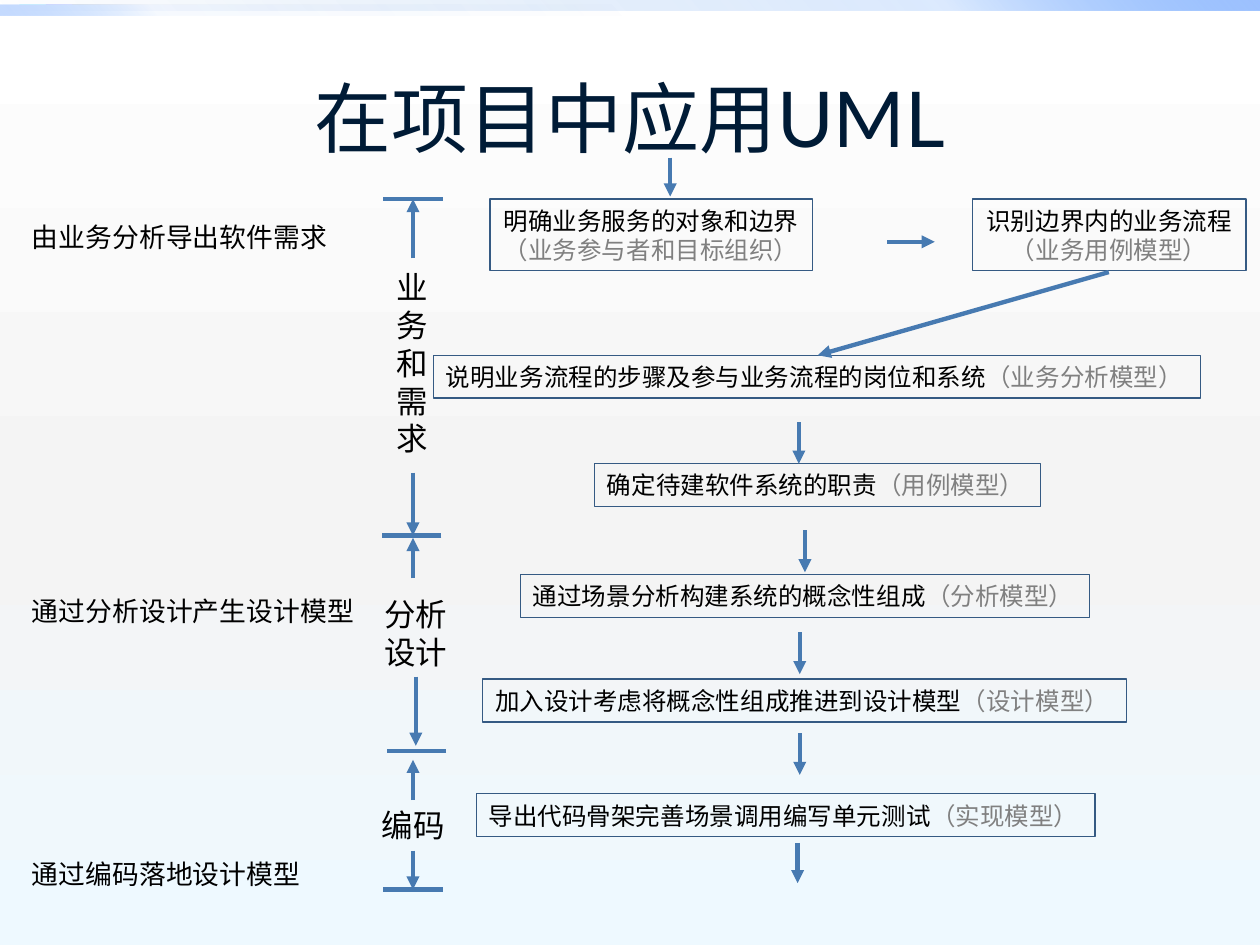
from dataclasses import dataclass

from lxml.etree import SubElement
from pptx import Presentation
from pptx.dml.color import RGBColor
from pptx.enum.shapes import MSO_CONNECTOR as Connector, MSO_SHAPE as Shape
from pptx.enum.text import MSO_ANCHOR as Anchor, MSO_AUTO_SIZE as AutoSize, PP_ALIGN as Align
from pptx.oxml import parse_xml
from pptx.oxml.ns import nsdecls, qn
from pptx.util import Pt


@dataclass(frozen=True)
class TextStyle:
    """Font, East Asian font, size and colour of a run."""
    latin: str
    east_asian: str
    size: float
    color: str


@dataclass(frozen=True)
class Theme:
    """Colours and text styles of the slide."""
    title = TextStyle("Lato", "Lato", 44, "001B36")
    note = TextStyle("Noto Sans CJK SC", "Noto Sans CJK SC", 15.3, "000000")
    phase = TextStyle("Arial", "Lato", 18, "000000")
    step = TextStyle("Cambria", "Lato", 14, "000000")
    model = TextStyle("Cambria", "Lato", 14, "808080")
    arrow = "477AB1"
    border = "355A83"
    backdrop = [(0, "FFFFFF", 100), (55, "F4F4F4", 100), (100, "EEF9FF", 100)]
    top_band = [(0, "0058B7", 0), (75, "4F95FF", 20), (100, "9EC2FF", 100)]
    left_band = [(0, "0058B7", 0), (75, "4F95FF", 5), (100, "9EC2FF", 60)]


THEME = Theme()
ROW_HEIGHT = 24.5
PAIR_HEIGHT = 41

NOTES = [
    ("由业务分析导出软件需求", 135.4),
    ("通过分析设计产生设计模型", 349.2),
    ("通过编码落地设计模型", 499.4),
]
PAIRED_STEPS = [
    ("明确业务服务的对象和边界", "（业务参与者和目标组织）", 280, 184.3),
    ("识别边界内的业务流程", "（业务用例模型）", 555.8, 156.2),
]
STEPS = [
    ("说明业务流程的步骤及参与业务流程的岗位和系统", "（业务分析模型）", 247.7, 203, 438.5),
    ("确定待建软件系统的职责", "（用例模型）", 339.8, 265, 254.9),
    ("通过场景分析构建系统的概念性组成", "（分析模型）", 297.4, 328.3, 325.4),
    ("加入设计考虑将概念性组成推进到设计模型", "（设计模型）", 275.8, 388.1, 367.9),
    ("导出代码骨架完善场景调用编写单元测试", "（实现模型）", 272.2, 453.6, 353.5),
]
PHASES = [
    (["业", "务", "和", "需", "求"], 219.6, 149, 32.4, 116.6),
    (["分析", "设计"], 212.4, 336.2, 51, 51),
    (["编码"], 211, 457.2, 51, 28.8),
]
PHASE_BARS = [(218.9, 113.8), (218.2, 306), (221, 429.1), (218.9, 508.3)]
VERTICAL_ARROWS = [
    (236, 147.6, 113.8), (236, 270, 306), (236, 330.5, 307.4),
    (237.6, 386.6, 426.2), (236, 457.2, 434.2), (236, 486, 508.3),
    (383, 90, 112.3), (456.5, 241.2, 265), (460, 303, 327),
    (457, 361.4, 385.2), (457, 419, 442.8), (455.8, 481.7, 504.7),
]


def paint_gradient(element, stops, angle):
    """Replace the first solid fill of an element with a linear gradient."""
    stop_xml = "".join(
        f'<a:gs pos="{position * 1000}"><a:srgbClr val="{color}">'
        f'<a:alpha val="{opacity * 1000}"/></a:srgbClr></a:gs>'
        for position, color, opacity in stops
    )
    gradient = parse_xml(
        f'<a:gradFill {nsdecls("a")} rotWithShape="1"><a:gsLst>{stop_xml}</a:gsLst>'
        f'<a:lin ang="{angle * 60000}" scaled="0"/></a:gradFill>'
    )
    solid = next(element.iter(qn("a:solidFill")))
    solid.getparent().replace(solid, gradient)


def add_run(paragraph, text, style):
    """Append a formatted run to a paragraph."""
    run = paragraph.add_run()
    run.text = text
    run.font.size = Pt(style.size)
    run.font.color.rgb = RGBColor.from_string(style.color)
    run.font.name = style.latin
    SubElement(run.font._element, qn("a:ea")).set("typeface", style.east_asian)


def fill_text(frame, lines, align=Align.LEFT):
    """Write lines, each a list of (text, style) runs, into a text frame."""
    frame.word_wrap = False
    frame.auto_size = AutoSize.SHAPE_TO_FIT_TEXT
    frame.vertical_anchor = Anchor.MIDDLE
    for index, runs in enumerate(lines):
        paragraph = frame.add_paragraph() if index else frame.paragraphs[0]
        paragraph.alignment = align
        for text, style in runs:
            add_run(paragraph, text, style)


def add_title(slide, text):
    """Place and format the title placeholder."""
    title = slide.shapes.title
    title.left, title.top, title.width, title.height = Pt(36), Pt(21.6), Pt(648), Pt(90)
    title.text_frame.vertical_anchor = Anchor.MIDDLE
    paragraph = title.text_frame.paragraphs[0]
    paragraph.alignment = Align.CENTER
    add_run(paragraph, text, THEME.title)


def add_rectangle(slide, left, top, width, height):
    """Add a rectangle without a shadow."""
    box = slide.shapes.add_shape(Shape.RECTANGLE, Pt(left), Pt(top), Pt(width), Pt(height))
    box.shadow.inherit = False
    return box


def add_band(slide, top, width, stops, angle):
    """Add a gradient band at the top edge."""
    band = add_rectangle(slide, 0, top, width, 5.8)
    band.fill.solid()
    band.line.fill.background()
    paint_gradient(band.element, stops, angle)


def add_step(slide, lines, left, top, width, height, align=Align.LEFT):
    """Add an outlined step of the process."""
    step = add_rectangle(slide, left, top, width, height)
    step.fill.background()
    step.line.color.rgb = RGBColor.from_string(THEME.border)
    step.line.width = Pt(0.75)
    fill_text(step.text_frame, lines, align)


def add_label(slide, lines, style, left, top, width, height):
    """Add a plain label with one paragraph per line."""
    label = slide.shapes.add_textbox(Pt(left), Pt(top), Pt(width), Pt(height))
    fill_text(label.text_frame, [[(line, style)] for line in lines])


def add_line(slide, start, end, arrow=True):
    """Connect two points, with an arrowhead at the end by default."""
    line = slide.shapes.add_connector(Connector.STRAIGHT, *map(Pt, (*start, *end)))
    line.line.color.rgb = RGBColor.from_string(THEME.arrow)
    line.line.width = Pt(2.5)
    if arrow:
        SubElement(line.line._get_or_add_ln(), qn("a:tailEnd")).set("type", "triangle")
    SubElement(line.element.spPr, qn("a:effectLst"))


def main():
    """Build the slide and save it."""
    deck = Presentation()
    deck.slide_width, deck.slide_height = Pt(720), Pt(540)
    slide = deck.slides.add_slide(deck.slide_layouts[5])
    slide.background.fill.solid()
    paint_gradient(slide.element, THEME.backdrop, 90)
    add_band(slide, 0, 720, THEME.top_band, 315)
    add_band(slide, 2.9, 360, THEME.left_band, 135)
    add_title(slide, "在项目中应用UML")
    for text, middle in NOTES:
        add_label(slide, [text], THEME.note, 11.1, middle - 13, 200, 26)
    for action, model, left, width in PAIRED_STEPS:
        lines = [[(action, THEME.step)], [(model, THEME.model)]]
        add_step(slide, lines, left, 113.8, width, PAIR_HEIGHT, Align.CENTER)
    for action, model, left, top, width in STEPS:
        lines = [[(action, THEME.step), (model, THEME.model)]]
        add_step(slide, lines, left, top, width, ROW_HEIGHT)
    for lines, *place in PHASES:
        add_label(slide, lines, THEME.phase, *place)
    for left, y in PHASE_BARS:
        add_line(slide, (left + 34, y), (left, y), arrow=False)
    for x, start, end in VERTICAL_ARROWS:
        add_line(slide, (x, start), (x, end))
    add_line(slide, (506.9, 138.2), (534.2, 138.2))
    add_line(slide, (633.6, 155.5), (467.3, 203))
    deck.save("out.pptx")


if __name__ == "__main__":
    main()
